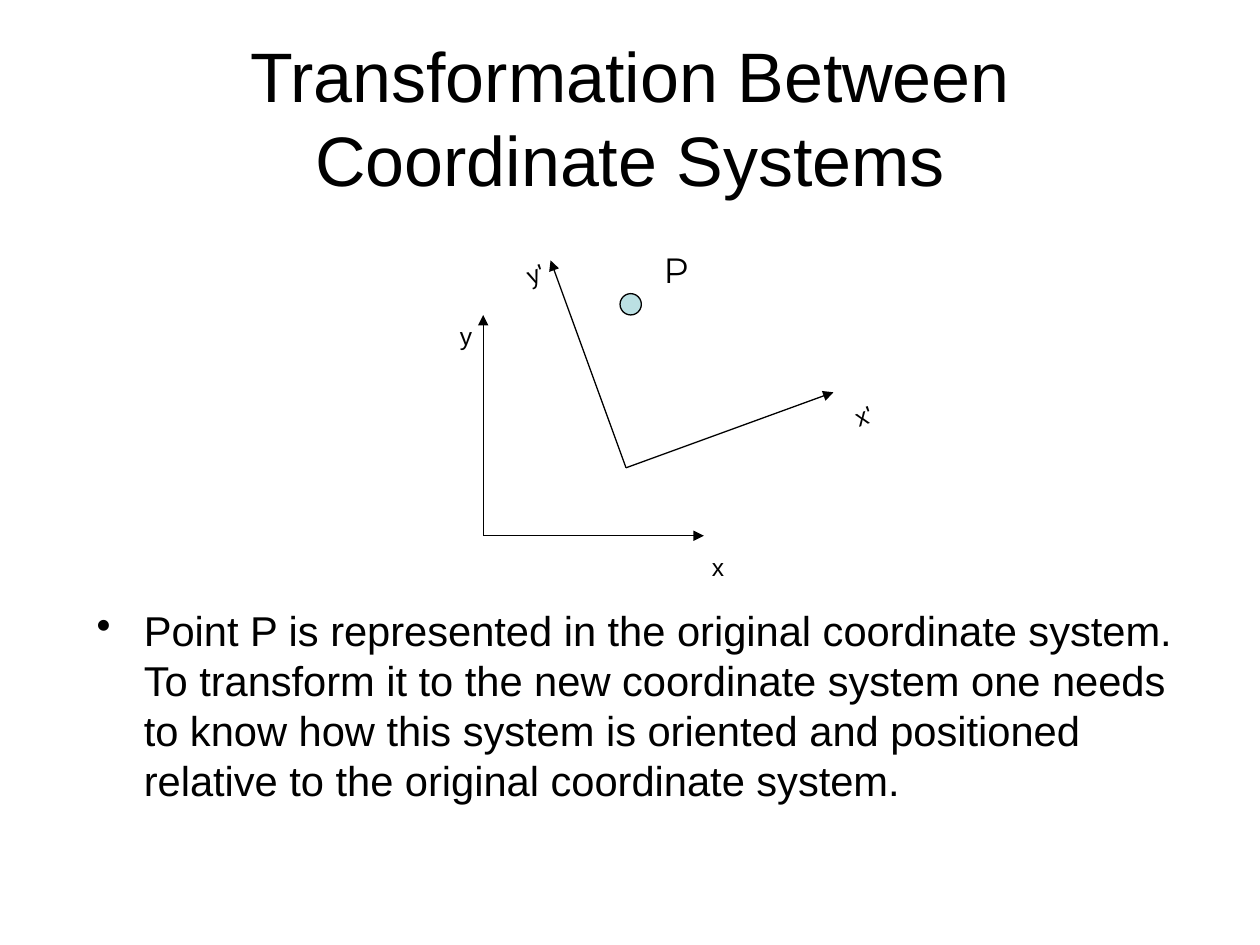
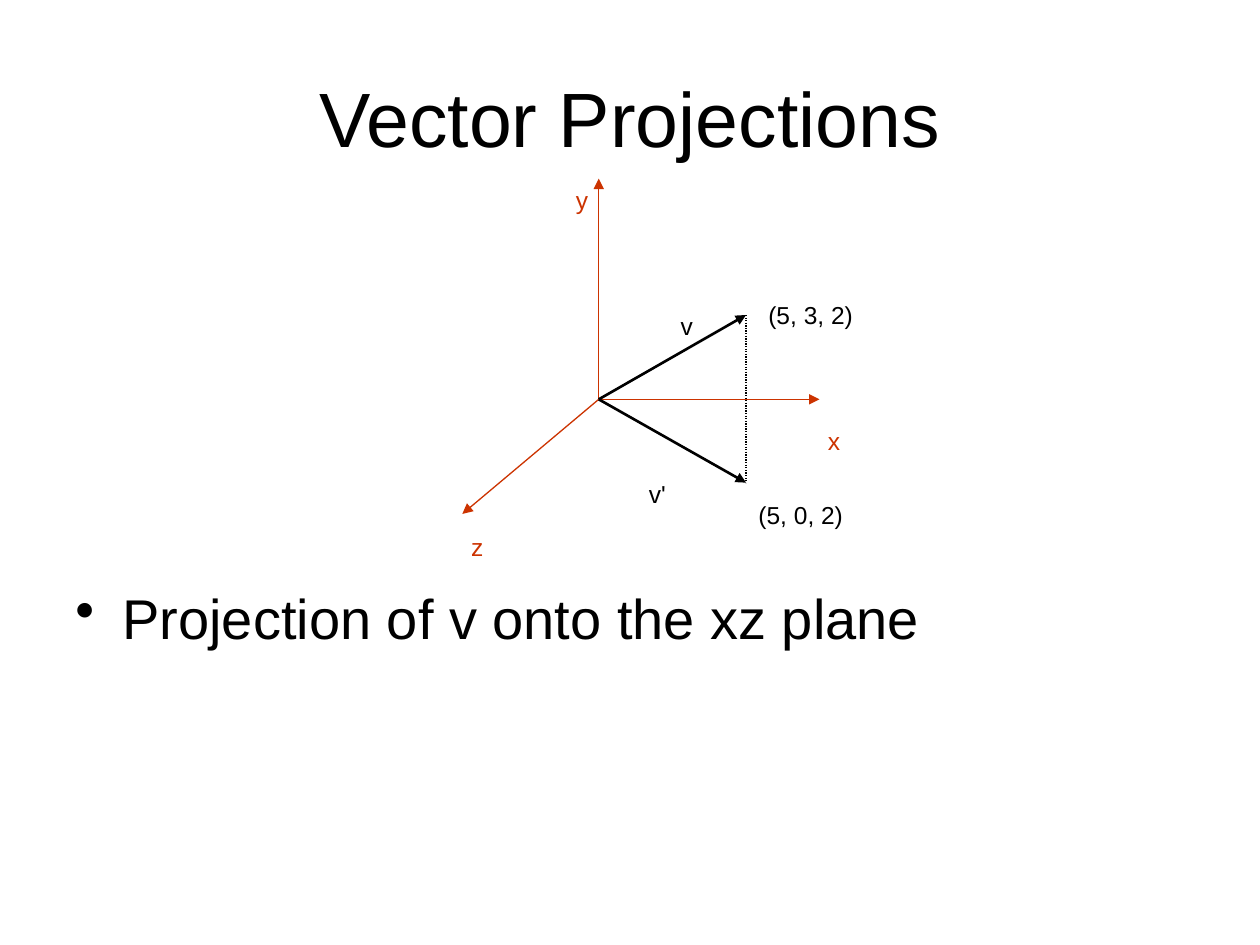
import math
import pptx
import pptx.util
import pptx.dml.color
import pptx.enum.dml
import pptx.enum.shapes
import pptx.enum.text
import pptx.oxml
import pptx.oxml.ns
import lxml.etree

Cm = pptx.util.Cm
Pt = pptx.util.Pt
qn = pptx.oxml.ns.qn

COLORS = {"ink": "000000", "axis": "CC3300", "point": "BBE0E3", "paper": "FFFFFF"}
AXIS_LENGTH = 4.45
TURN = 20


def rgb(name):
    return pptx.dml.color.RGBColor.from_string(COLORS[name])


def write_text(frame, text, size=14, font="Arial", color="ink", align="LEFT",
               anchor="TOP", wrap=True, bullet=False):
    frame.auto_size = pptx.enum.text.MSO_AUTO_SIZE.NONE
    frame.word_wrap = wrap
    frame.vertical_anchor = getattr(pptx.enum.text.MSO_ANCHOR, anchor)
    frame.margin_left = frame.margin_right = Cm(0.25)
    frame.margin_top = frame.margin_bottom = Cm(0.13)
    paragraph = frame.paragraphs[0]
    paragraph.alignment = getattr(pptx.enum.text.PP_ALIGN, align)
    if bullet:
        properties = paragraph._p.get_or_add_pPr()
        properties.set("marL", str(Cm(0.95)))
        properties.set("indent", str(-Cm(0.95)))
        lxml.etree.SubElement(properties, qn("a:buChar")).set("char", "•")
    run = paragraph.add_run()
    run.text = text
    run.font.size = Pt(size)
    run.font.name = font
    run.font.color.rgb = rgb(color)


class Deck:
    def __init__(self):
        self.presentation = pptx.Presentation()
        self.presentation.slide_width = Cm(25.4)
        self.presentation.slide_height = Cm(19.05)
        self.slide = None

    def start_slide(self, title, size):
        self.slide = self.presentation.slides.add_slide(self.presentation.slide_layouts[5])
        self.slide.background.fill.solid()
        self.slide.background.fill.fore_color.rgb = rgb("paper")
        heading = self.slide.shapes.title
        heading.left, heading.top = Cm(1.27), Cm(0.76)
        heading.width, heading.height = Cm(22.86), Cm(3.18)
        write_text(heading.text_frame, title, size=size, align="CENTER", anchor="MIDDLE")

    def statement(self, text, left, top, size):
        box = self.slide.shapes.add_textbox(Cm(left), Cm(top), Cm(22.86), Cm(5.38))
        write_text(box.text_frame, text, size=size, bullet=True)

    def label(self, text, left, top, width=0.43, height=0.43, rotation=0, **style):
        box = self.slide.shapes.add_textbox(Cm(left), Cm(top), Cm(width), Cm(height))
        box.rotation = rotation
        write_text(box.text_frame, text, wrap=False, **style)

    def line(self, start, end, color="ink", weight=0.75, arrow=True, dotted=False):
        connector = self.slide.shapes.add_connector(
            pptx.enum.shapes.MSO_CONNECTOR.STRAIGHT,
            *(Cm(value) for value in (*start, *end)))
        connector.line.color.rgb = rgb(color)
        connector.line.width = Pt(weight)
        if dotted:
            connector.line.dash_style = pptx.enum.dml.MSO_LINE.ROUND_DOT
        if arrow:
            outline = connector.line._get_or_add_ln()
            lxml.etree.SubElement(outline, qn("a:tailEnd")).set("type", "triangle")
        lxml.etree.SubElement(connector._element.spPr, qn("a:effectLst"))

    def axes(self, origin, degrees=0, color="ink"):
        x, y = origin
        for direction in (degrees, degrees + 90):
            angle = math.radians(direction)
            tip = (x + AXIS_LENGTH * math.cos(angle), y - AXIS_LENGTH * math.sin(angle))
            self.line(origin, tip, color=color)

    def dot(self, left, top, diameter):
        circle = self.slide.shapes.add_shape(
            pptx.enum.shapes.MSO_SHAPE.OVAL, Cm(left), Cm(top), Cm(diameter), Cm(diameter))
        circle.shadow.inherit = False
        circle.fill.solid()
        circle.fill.fore_color.rgb = rgb("point")
        circle.line.color.rgb = rgb("ink")
        circle.line.width = Pt(0.75)


def coordinate_systems(deck):
    deck.start_slide("Transformation Between Coordinate Systems", 40)
    deck.axes((9.74, 10.8))
    deck.label("x", 14.17, 11)
    deck.label("y", 9.09, 6.35)
    deck.axes((12.62, 9.43), degrees=TURN)
    deck.label("x'", 16.92, 8, width=0.64, rotation=-TURN)
    deck.label("y'", 10.34, 5.13, width=0.64, height=0.64, rotation=-TURN)
    deck.statement(
        "Point P is represented in the original coordinate system. "
        "To transform it to the new coordinate system one needs to know how this "
        "system is oriented and positioned relative to the original coordinate system.",
        1.7, 12.07, 23.8)
    deck.dot(12.5, 5.92, 0.43)
    deck.label("P", 13.13, 4.88, width=0.53, height=1.02, size=20, font="Montserrat")


def vector_projections(deck):
    origin, v_tip, projected_tip = (12.07, 8.05), (15.04, 6.35), (15.04, 9.73)
    deck.start_slide("Vector Projections", 44)
    deck.statement("Projection of v onto the xz plane", 1.27, 11.63, 32)
    deck.axes(origin, color="axis")
    deck.line(origin, (9.32, 10.36), color="axis")
    for name, left, top in (("x", 16.51, 8.46), ("y", 11.43, 3.61), ("z", 9.32, 10.59)):
        deck.label(name, left, top, color="axis")
    for tip in (v_tip, projected_tip):
        deck.line(origin, tip, weight=1.5)
    deck.line(v_tip, projected_tip, arrow=False, dotted=True)
    deck.label("(5, 3, 2)", 15.24, 5.92, width=1.7, height=0.64)
    deck.label("(5, 0, 2)", 15.04, 9.96, width=1.7, height=0.64)
    deck.label("v", 13.54, 6.15)
    deck.label("v'", 12.9, 9.53)


def main():
    deck = Deck()
    coordinate_systems(deck)
    vector_projections(deck)
    deck.presentation.save("out.pptx")


if __name__ == "__main__":
    main()
